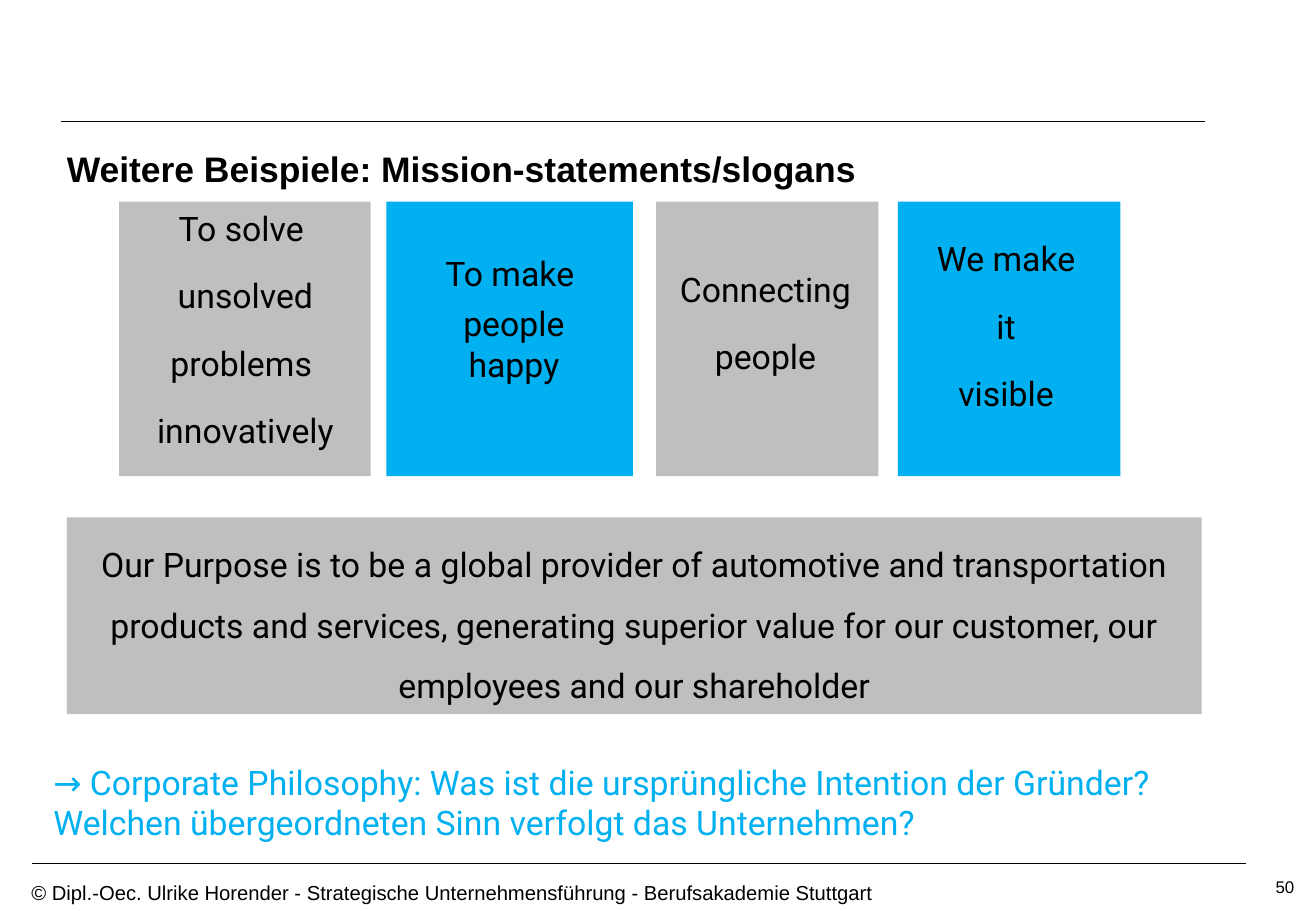
from lxml import etree
from pptx import Presentation
from pptx.dml.color import RGBColor
from pptx.enum.shapes import MSO_CONNECTOR, MSO_SHAPE
from pptx.enum.text import MSO_ANCHOR, PP_ALIGN
from pptx.oxml.ns import qn
from pptx.util import Inches, Pt

LEFT, CENTER, RIGHT = PP_ALIGN.LEFT, PP_ALIGN.CENTER, PP_ALIGN.RIGHT
TOP = MSO_ANCHOR.TOP
RECTANGLE = MSO_SHAPE.RECTANGLE
STRAIGHT = MSO_CONNECTOR.STRAIGHT
TITLE_ONLY = 5

COLORS = {"text": "000000", "gray": "BFBFBF", "blue": "00B0F0"}
CARD_TOP, CARD_HEIGHT = 1.66, 2.26

# Card left, card width, fill, text box (left, top, width, height), space before, lines
CARDS = [
    (0.98, 2.07, "gray", (1.16, 1.66, 1.72, 2.26), 10,
     ["To solve ", "unsolved", "problems ", "innovatively"]),
    (3.18, 2.03, "blue", (3.43, 2.03, 1.6, 0.88), 0,
     ["To make ", "people happy"]),
    (5.4, 1.83, "gray", (5.52, 2.16, 1.56, 1.05), 10,
     ["Connecting", "people"]),
    (7.39, 1.83, "blue", (7.5, 1.91, 1.56, 1.65), 10,
     ["We make", "it", "visible"]),
]


def color(name):
    return RGBColor.from_string(COLORS[name])


def write(shape, lines, size, font="Roboto", ink="text", align=LEFT, side=0.1,
          before=0, after=0, spacing=None, bold=False):
    """Fill the shape's text frame with one paragraph per line."""
    frame = shape.text_frame
    frame.word_wrap = True
    frame.vertical_anchor = TOP
    frame.margin_left = frame.margin_right = Inches(side)
    frame.margin_top = frame.margin_bottom = Inches(0.05)
    for index, line in enumerate(lines):
        para = frame.paragraphs[0] if index == 0 else frame.add_paragraph()
        para.text = line
        para.alignment = align
        para.space_before = Pt(before if index else 0)
        para.space_after = Pt(after)
        para.line_spacing = spacing
        para.font.name = font
        para.font.size = Pt(size)
        para.font.bold = bold
        para.font.color.rgb = color(ink)


def add_text(page, box, lines, size, **style):
    shape = page.shapes.add_textbox(*map(Inches, box))
    write(shape, lines, size, **style)


def add_panel(page, box, fill):
    panel = page.shapes.add_shape(RECTANGLE, *map(Inches, box))
    panel.shadow.inherit = False
    panel.fill.solid()
    panel.fill.fore_color.rgb = color(fill)
    panel.line.fill.background()
    return panel


def add_rule(page, left, right, top):
    rule = page.shapes.add_connector(
        STRAIGHT, Inches(left), Inches(top), Inches(right), Inches(top))
    rule.line.color.rgb = color("text")
    rule.line.width = Pt(0.75)
    etree.SubElement(rule._element.spPr, qn("a:effectLst"))


def add_title(page, box):
    title = page.shapes.title
    title.left, title.top, title.width, title.height = map(Inches, box)
    write(title, ["Weitere Beispiele: Mission-statements/slogans"], 21,
          font="Arial", side=0, spacing=Pt(32), bold=True)
    title.text_frame.margin_top = title.text_frame.margin_bottom = 0


def add_slogan_cards(page, top, height):
    for left, width, fill, text_box, before, lines in CARDS:
        add_panel(page, (left, top, width, height), fill)
        add_text(page, text_box, lines, 20, align=CENTER, side=0,
                 before=before, after=6)


def add_purpose(page, box):
    panel = add_panel(page, box, "gray")
    write(panel, ["Our Purpose is to be a global provider of automotive and "
                  "transportation products and services, generating superior "
                  "value for our customer, our employees and our shareholder"],
          20, align=CENTER, side=0, spacing=1.5)


def add_question(page, box):
    add_text(page, box, ["→ Corporate Philosophy: Was ist die ursprüngliche "
                         "Intention der Gründer? Welchen übergeordneten Sinn "
                         "verfolgt das Unternehmen?"], 20, ink="blue")


def add_footer(page, left, top, width):
    add_rule(page, left + 0.1, left + width - 0.15, top)
    add_text(page, (left, top + 0.09, 8, 0.3),
             ["© Dipl.-Oec. Ulrike Horender - Strategische "
              "Unternehmensführung - Berufsakademie Stuttgart"],
             12, font="Arial")
    add_text(page, (8.49, top + 0.06, 2.26, 0.33), ["50"], 10,
             font="Arial", align=RIGHT)


def main():
    deck = Presentation()
    deck.slide_width, deck.slide_height = Inches(10.83), Inches(7.5)
    page = deck.slides.add_slide(deck.slide_layouts[TITLE_ONLY])
    add_rule(page, 0.5, 9.92, 1)
    add_title(page, (0.55, 1.12, 9.34, 0.63))
    add_slogan_cards(page, CARD_TOP, CARD_HEIGHT)
    add_purpose(page, (0.55, 4.26, 9.34, 1.62))
    add_question(page, (0.34, 6.22, 10.11, 0.77))
    add_footer(page, 0.16, 7.11, 10.24)
    deck.save("out.pptx")


if __name__ == "__main__":
    main()
